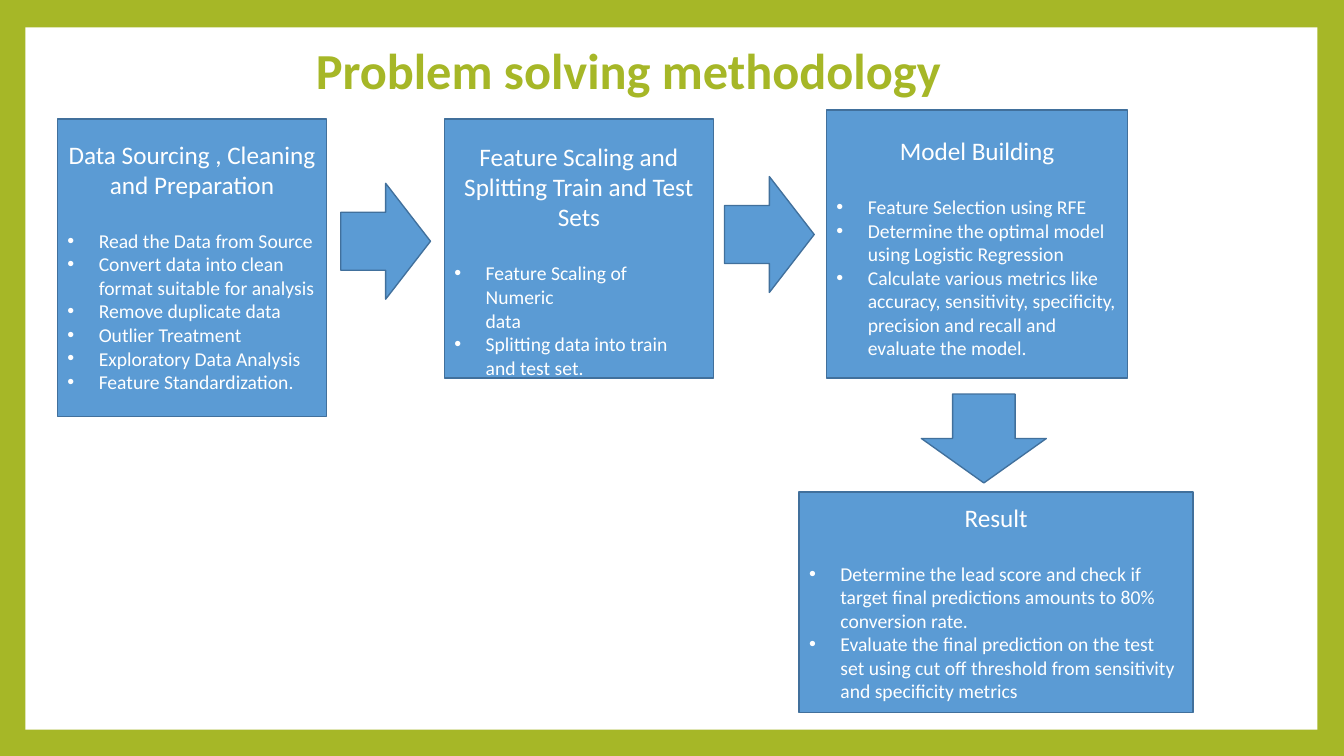
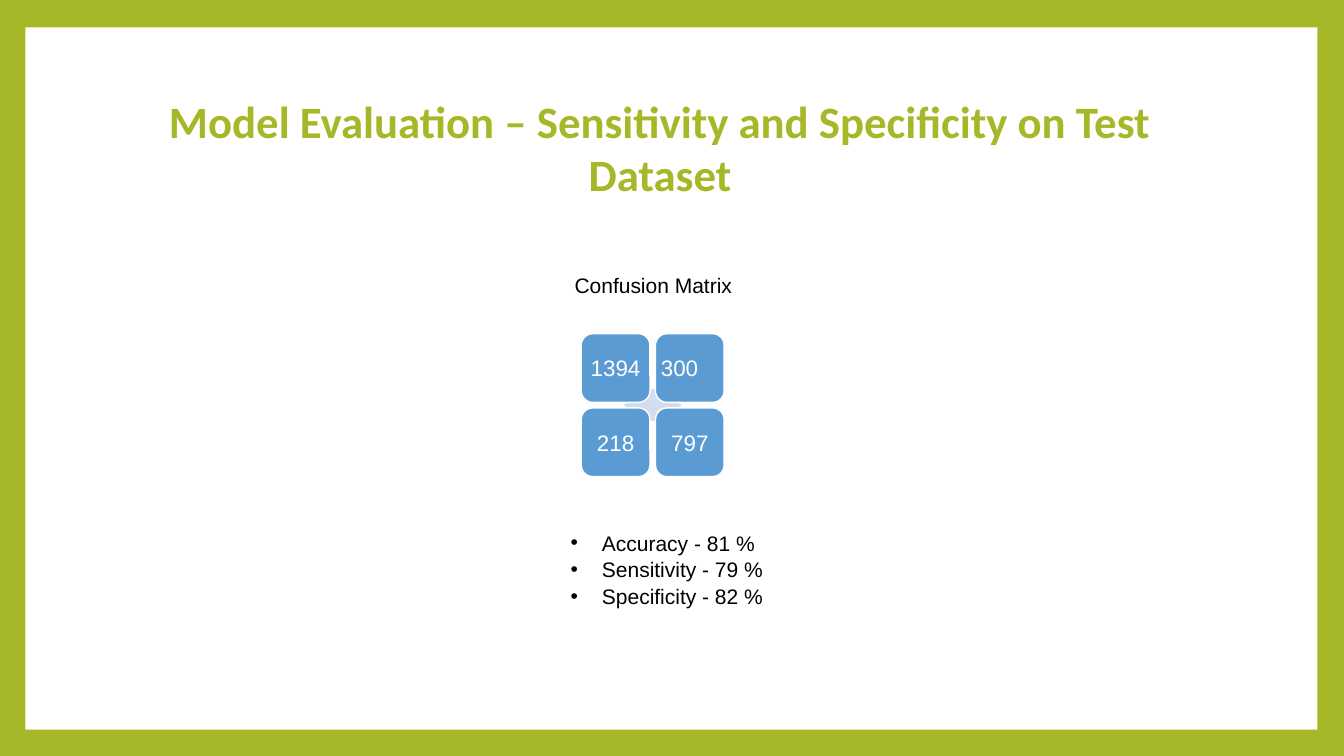
from dataclasses import dataclass

from lxml import etree
from pptx import Presentation
from pptx.dml.color import RGBColor
from pptx.enum.shapes import MSO_SHAPE
from pptx.enum.text import MSO_ANCHOR, MSO_AUTO_SIZE, PP_ALIGN
from pptx.oxml.ns import qn
from pptx.util import Cm, Pt

RECT, ROUNDED, DIAMOND = MSO_SHAPE.RECTANGLE, MSO_SHAPE.ROUNDED_RECTANGLE, MSO_SHAPE.DIAMOND
RIGHT_ARROW, DOWN_ARROW = MSO_SHAPE.RIGHT_ARROW, MSO_SHAPE.DOWN_ARROW
LEFT, CENTER = PP_ALIGN.LEFT, PP_ALIGN.CENTER
TOP, MIDDLE = MSO_ANCHOR.TOP, MSO_ANCHOR.MIDDLE
TITLE_AND_CONTENT, TITLE_ONLY = 1, 5


@dataclass(frozen=True)
class Theme:
    lime: str = "A6B727"
    white: str = "FFFFFF"
    black: str = "000000"
    blue: str = "5B9BD4"
    outline: str = "41709C"
    pale: str = "D2DEEE"
    head_font: str = "Calibri"
    body_font: str = "Arial"
    heading: float = 18
    item: float = 14
    metric: float = 15
    cell: float = 16
    line: float = 0.96


T = Theme()

# Box (left, top, width, height in cm), top inset in cm, heading, bullets
STEPS = [
    ((1.45, 3, 6.78, 7.49), 0.5, "Data Sourcing , Cleaning\vand Preparation",
     ["Read the Data from Source",
      "Convert data into clean\vformat suitable for analysis",
      "Remove duplicate data", "Outlier Treatment",
      "Exploratory Data Analysis", "Feature Standardization."]),
    ((11.2, 3, 6.78, 6.53), 0.56, "Feature Scaling and\vSplitting Train and Test\vSets",
     ["Feature Scaling of\vNumeric\vdata",
      "Splitting data into train\vand test set."]),
    ((20.83, 2.77, 7.59, 6.76), 0.64, "Model Building",
     ["Feature Selection using RFE",
      "Determine the optimal model\vusing Logistic Regression",
      "Calculate various metrics like\vaccuracy, sensitivity, specificity,\v"
      "precision and recall and\vevaluate the model."]),
    ((20.14, 12.4, 9.93, 5.56), 0.25, "Result",
     ["Determine the lead score and check if\vtarget final predictions amounts to 80%\v"
      "conversion rate.",
      "Evaluate the final prediction on the test\v"
      "set using cut off threshold from sensitivity\vand specificity metrics"]),
]
ARROWS = [
    (RIGHT_ARROW, (8.59, 4.62, 2.26, 2.92)),
    (RIGHT_ARROW, (18.26, 4.45, 2.26, 2.92)),
    (DOWN_ARROW, (23.22, 9.93, 3.15, 2.24)),
]
# Value and right inset in cm
MATRIX = [[("1394", 0), ("300", 0.52)], [("218", 0), ("797", 0)]]
METRICS = ["Accuracy - 81 %", "Sensitivity - 79 %", "Specificity - 82 %"]


def rgb(color):
    return RGBColor.from_string(color)


def lengths(box):
    return [Cm(v) for v in box]


def place(shape, box):
    shape.left, shape.top, shape.width, shape.height = lengths(box)


def frame(shape, anchor=TOP, top=0, right=0):
    """Prepare a text frame with insets in cm."""
    tf = shape.text_frame
    tf.word_wrap, tf.auto_size = True, MSO_AUTO_SIZE.NONE
    tf.vertical_anchor = anchor
    tf.margin_left = tf.margin_bottom = 0
    tf.margin_top, tf.margin_right = Cm(top), Cm(right)
    return tf


def write(tf, text, size, color, font=T.head_font, bold=False, align=LEFT,
          before=0, margin=None):
    """Add a paragraph; a margin in cm makes it a bullet with a hanging indent."""
    p = tf.paragraphs[0] if not tf.text else tf.add_paragraph()
    p.text = text
    p.alignment, p.space_before = align, Pt(before)
    for r in p.runs:
        f = r.font
        f.name, f.size, f.bold = font, Pt(size), bold
        f.color.rgb = rgb(color)
    if margin is not None:
        pPr = p._p.get_or_add_pPr()
        pPr.set("marL", str(Cm(margin)))
        pPr.set("indent", str(-Cm(0.79)))
        etree.SubElement(pPr, qn("a:buFont")).set("typeface", T.body_font)
        etree.SubElement(pPr, qn("a:buChar")).set("char", "•")


def add_block(s, kind, box, fill=T.blue, line=None):
    sp = s.shapes.add_shape(kind, *lengths(box))
    sp.shadow.inherit = False
    sp.fill.solid()
    sp.fill.fore_color.rgb = rgb(fill)
    if line:
        sp.line.color.rgb = rgb(line)
        sp.line.width = Pt(T.line)
    else:
        sp.line.fill.background()
    return sp


def add_master_panel(prs, s):
    """Give the master a lime border around a white panel, drawn first on s."""
    fill = prs.slide_master.background.fill
    fill.solid()
    fill.fore_color.rgb = rgb(T.lime)
    panel = add_block(s, RECT, (0.64, 0.69, 32.56, 17.7), T.white).element
    panel.nvSpPr.cNvPr.set("id", "99")
    prs.slide_master.shapes.element.insert(2, panel)


def add_title(s, text, size, box):
    place(s.shapes.title, box)
    write(frame(s.shapes.title, MIDDLE), text, size, T.lime, bold=True, align=CENTER)


def add_step(s, box, top, heading, items):
    tf = frame(add_block(s, RECT, box, line=T.outline), top=top)
    write(tf, heading, T.heading, T.white, align=CENTER)
    for i, item in enumerate(items):
        write(tf, item, T.item, T.white, before=0 if i else 21, margin=1.04)


def add_matrix(s, left, top, cell=1.73, pitch=1.87):
    middle = (pitch + cell) / 2
    w, h = 1.48, 0.82
    add_block(s, DIAMOND, (left + middle - w / 2, top + middle - h / 2, w, h), T.pale)
    for i, row in enumerate(MATRIX):
        for j, (value, right) in enumerate(row):
            box = (left + j * pitch, top + i * pitch, cell, cell)
            tf = frame(add_block(s, ROUNDED, box, line=T.white), MIDDLE, right=right)
            write(tf, value, T.cell, T.white, T.body_font, align=CENTER)


def methodology_slide(s):
    add_title(s, "Problem solving methodology", 36, (4.04, 0.95, 23.6, 1.57))
    for step in STEPS:
        add_step(s, *step)
    for kind, box in ARROWS:
        add_block(s, kind, box, line=T.outline)


def evaluation_slide(s):
    add_title(s, "Model Evaluation – Sensitivity and Specificity on Test Dataset", 32,
              (3.12, 2.32, 27.03, 2.77))
    label = s.shapes.add_textbox(*lengths((14.48, 6.86, 4.34, 0.69)))
    write(frame(label), "Confusion Matrix", T.metric, T.black, T.body_font)
    add_matrix(s, 14.65, 8.41)
    body = s.placeholders[1]
    place(body, (14.33, 13.36, 5.54, 1.96))
    tf = frame(body)
    for metric in METRICS:
        write(tf, metric, T.metric, T.black, T.body_font, before=1, margin=0.84)


def main():
    prs = Presentation()
    prs.slide_width, prs.slide_height = Cm(33.87), Cm(19.05)
    first = prs.slides.add_slide(prs.slide_layouts[TITLE_ONLY])
    add_master_panel(prs, first)
    methodology_slide(first)
    evaluation_slide(prs.slides.add_slide(prs.slide_layouts[TITLE_AND_CONTENT]))
    prs.save("out.pptx")


if __name__ == "__main__":
    main()
